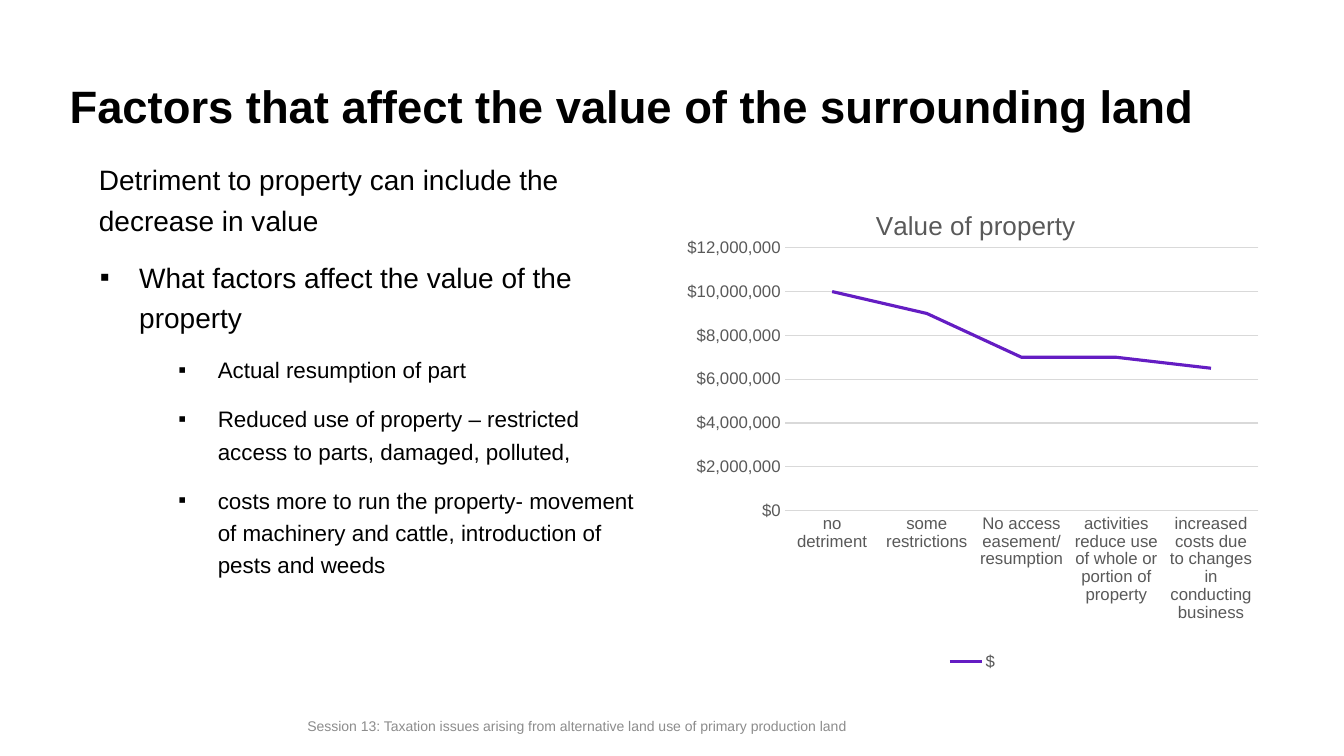
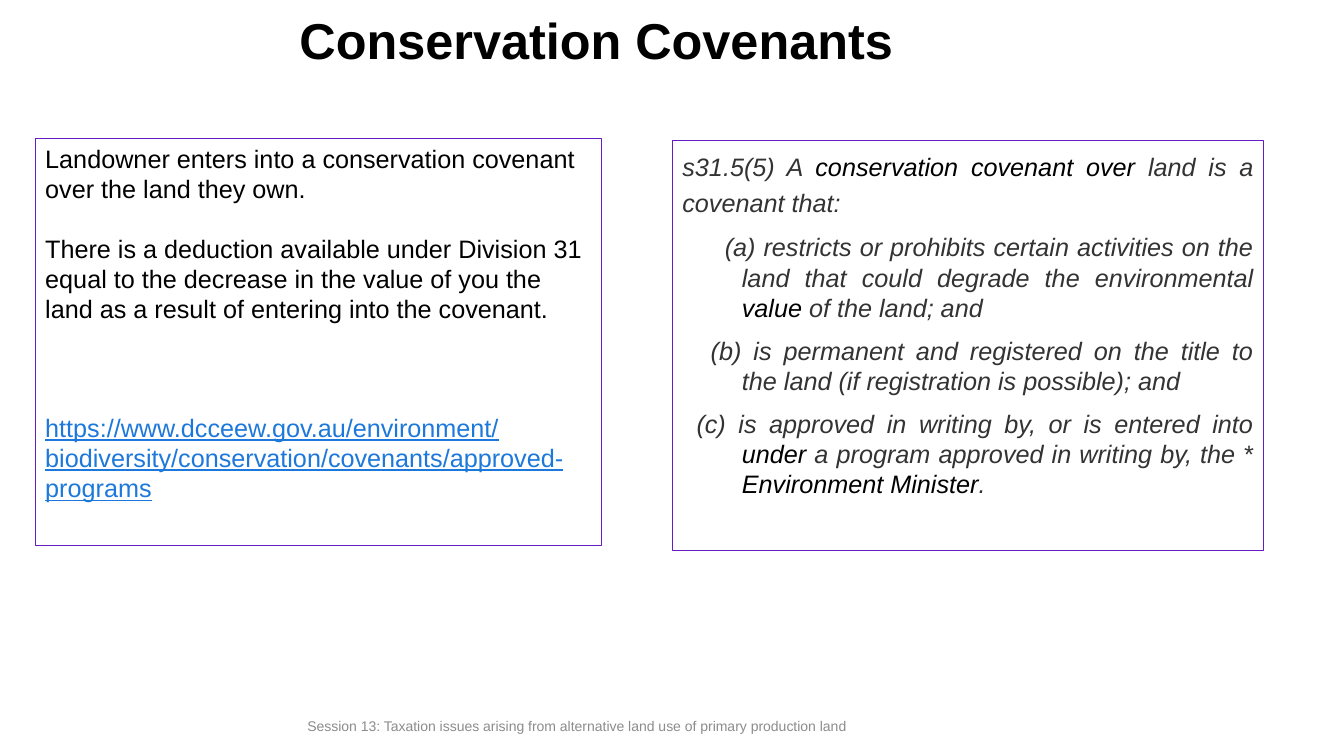
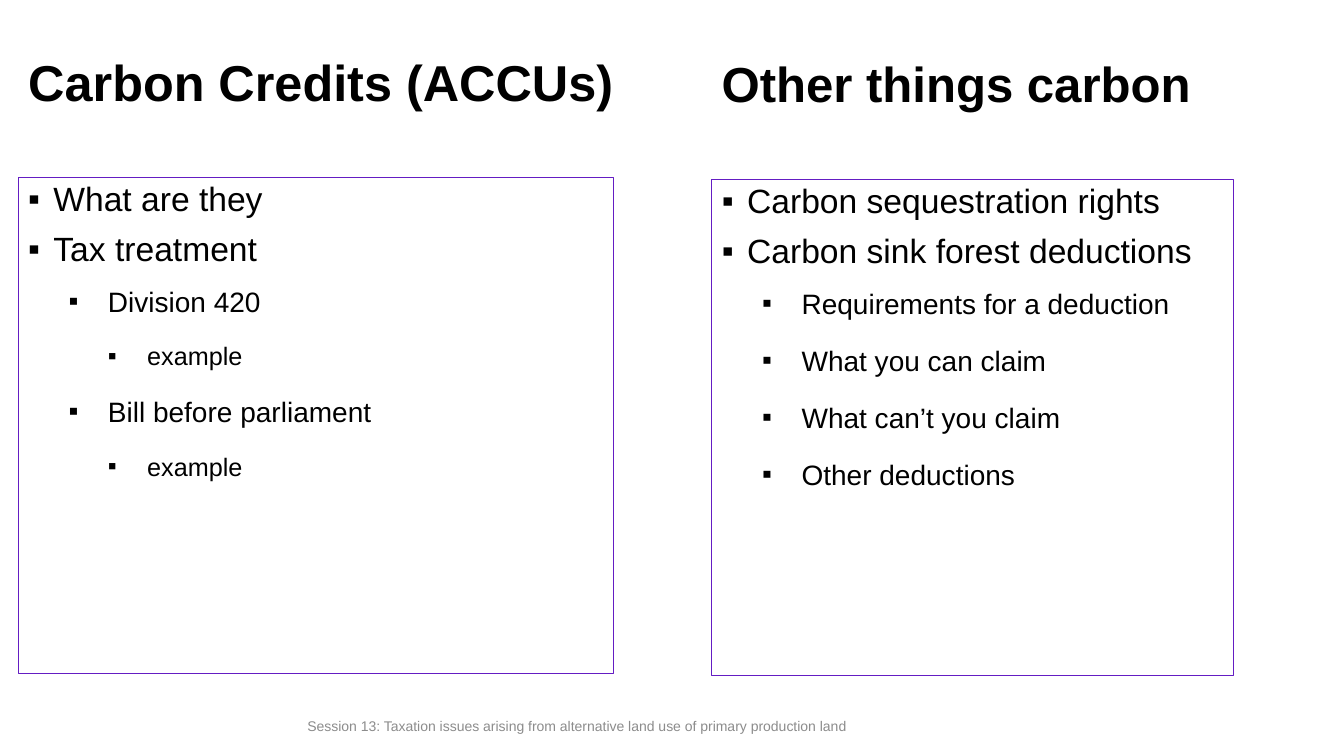
from lxml.etree import SubElement
from pptx import Presentation
from pptx.chart.data import CategoryChartData
from pptx.dml.color import RGBColor
from pptx.enum.chart import XL_CHART_TYPE, XL_LEGEND_POSITION, XL_TICK_MARK
from pptx.enum.text import MSO_ANCHOR, MSO_AUTO_SIZE, PP_ALIGN
from pptx.oxml import parse_xml
from pptx.oxml.ns import nsdecls, qn
from pptx.util import Inches, Pt

FONT = "Arial"
BLACK = RGBColor(0x00, 0x00, 0x00)
STATUTE_GREY = RGBColor(0x33, 0x33, 0x33)
CHART_GREY = RGBColor(0x59, 0x59, 0x59)
FOOTER_GREY = RGBColor(0x8C, 0x8C, 0x8C)
GRID_GREY = RGBColor(0xD9, 0xD9, 0xD9)
PURPLE = RGBColor(0x64, 0x1D, 0xC3)
LINK_BLUE = RGBColor(0x1D, 0x78, 0xDB)

TITLE_AND_CONTENT, TWO_CONTENT, TITLE_ONLY = 1, 3, 5
FOOTER = "Session 13: Taxation issues arising from alternative land use of primary production land"

LOOSE = {"spacing": 1.2, "before": 6, "after": 6}
TOPIC = {"size": 24, "margin": 0.25, "indent": -0.25, "bullet": "▪", "spacing": 0.9, "before": 10}
POINT = {"size": 20, "level": 1, "margin": 0.79, "indent": -0.39, "bullet": "▪", **LOOSE}
EXAMPLE = {**POINT, "size": 18, "level": 2, "margin": 1.18}
DETAIL = {**POINT, "size": 16, "level": 3, "margin": 1.57}
LEAD = {**POINT, "margin": 0.39, "indent": 0, "bullet": None}


def write(frame, text, *, size, color=BLACK, bold=False, italic=False, underline=False,
          align=PP_ALIGN.LEFT, level=0, margin=0, indent=0, bullet=None,
          spacing=1.0, before=0, after=0):
    """Append a paragraph; text is a string or a list of (string, colour) pairs."""
    first = len(frame.paragraphs) == 1 and not frame.paragraphs[0].runs
    paragraph = frame.paragraphs[0] if first else frame.add_paragraph()
    paragraph.alignment = align
    paragraph.level = level
    paragraph.line_spacing = spacing
    paragraph.space_before = Pt(0 if first else before)
    paragraph.space_after = Pt(after)
    properties = paragraph._p.get_or_add_pPr()
    properties.set("marL", str(Inches(margin)))
    properties.set("indent", str(Inches(indent)))
    if bullet:
        SubElement(properties, qn("a:buFont")).set("typeface", FONT)
        SubElement(properties, qn("a:buChar")).set("char", bullet)
    else:
        SubElement(properties, qn("a:buNone"))
    for words, tint in [(text, color)] if isinstance(text, str) else text:
        run = paragraph.add_run()
        run.text = words
        run.font.name = FONT
        run.font.size = Pt(size)
        run.font.bold = bold
        run.font.italic = italic
        run.font.underline = underline
        run.font.color.rgb = tint


def place(part, box, anchor=MSO_ANCHOR.TOP, outlined=False):
    """Move a part to its box and return its prepared text frame."""
    part.left, part.top, part.width, part.height = map(Inches, box)
    frame = part.text_frame
    frame.word_wrap = True
    frame.auto_size = MSO_AUTO_SIZE.NONE
    frame.vertical_anchor = anchor
    if outlined:
        part.line.color.rgb = PURPLE
        part.line.width = Pt(0.75)
    return frame


def new_text(slide, box, **kwargs):
    """Add a text box and return its text frame."""
    return place(slide.shapes.add_textbox(*map(Inches, box)), box, **kwargs)


def write_title(frame, text, size=36):
    """Write a heading in the shared title style."""
    write(frame, text, size=size, bold=True, spacing=0.9)


def start_slide(deck, layout, title, box, size=36):
    """Add a slide with its title and the session footer."""
    slide = deck.slides.add_slide(deck.slide_layouts[layout])
    write_title(place(slide.shapes.title, box, MSO_ANCHOR.BOTTOM), title, size)
    footer = new_text(slide, (2.95, 7.08, 7.87, 0.24), anchor=MSO_ANCHOR.MIDDLE)
    write(footer, FOOTER, size=10, color=FOOTER_GREY)
    return slide


def fill_list(placeholder, box, entries, outlined=False):
    """Fill a body placeholder with (style, text) entries."""
    frame = place(placeholder, box, outlined=outlined)
    for style, text in entries:
        write(frame, text, **style)


def set_layout(parent, index, **fractions):
    """Give a chart part a fixed position in fractions of the chart."""
    for existing in parent.findall(qn("c:layout")):
        parent.remove(existing)
    target = '<c:layoutTarget val="inner"/>' if "w" in fractions else ""
    modes = "".join(f'<c:{key}Mode val="edge"/>' for key in "xy")
    values = "".join(f'<c:{key} val="{value}"/>' for key, value in fractions.items())
    parent.insert(index, parse_xml(
        f'<c:layout {nsdecls("c")}><c:manualLayout>{target}{modes}{values}'
        "</c:manualLayout></c:layout>"))


def style_font(font, size):
    """Apply the chart text style."""
    font.name = FONT
    font.size = Pt(size)
    font.bold = False
    font.color.rgb = CHART_GREY


def add_value_chart(slide, box):
    """Draw the line chart of falling property value."""
    data = CategoryChartData(number_format='"$"#,##0')
    data.categories = [
        "no detriment", "some restrictions", "No access easement/resumption",
        "activities reduce use of whole or portion of property",
        "increased costs due to changes in conducting business",
    ]
    data.add_series("$", [10000000, 9000000, 7000000, 7000000, 6500000])
    chart = slide.shapes.add_chart(XL_CHART_TYPE.LINE, *map(Inches, box), data).chart
    style_font(chart.font, 12)

    chart.has_title = True
    title = chart.chart_title
    title.text_frame.text = "Value of property"
    style_font(title.text_frame.paragraphs[0].runs[0].font, 18.6)
    set_layout(title._element, 1, x=0.33, y=0.05)
    set_layout(chart._chartSpace.chart.plotArea, 0, x=0.185, y=0.14, w=0.795, h=0.53)

    chart.has_legend = True
    chart.legend.position = XL_LEGEND_POSITION.BOTTOM
    chart.legend.include_in_layout = False
    style_font(chart.legend.font, 12)

    values, categories = chart.value_axis, chart.category_axis
    for axis in (values, categories):
        axis.major_tick_mark = axis.minor_tick_mark = XL_TICK_MARK.NONE
        style_font(axis.tick_labels.font, 12)
    values.minimum_scale, values.maximum_scale, values.major_unit = 0, 12000000, 2000000
    values.tick_labels.number_format = '"$"#,##0'
    values.tick_labels.number_format_is_linked = False
    values.format.line.fill.background()
    for line in (values.major_gridlines.format.line, categories.format.line):
        line.color.rgb = GRID_GREY
        line.width = Pt(0.75)

    chart.plots[0].vary_by_categories = False
    series = chart.plots[0].series[0]
    series.smooth = False
    series.format.line.color.rgb = PURPLE
    series.format.line.width = Pt(2.25)


def build_factors(deck):
    """Build the slide on factors that affect land value."""
    slide = start_slide(deck, TITLE_AND_CONTENT,
                        "Factors that affect the value of the surrounding land",
                        (0.59, 0.39, 12.01, 0.98), 32.4)
    fill_list(slide.placeholders[1], (0.49, 1.5, 5.91, 4.92), [
        (LEAD, "Detriment to property can include the decrease in value"),
        (POINT, "What factors affect the value of the property"),
        (DETAIL, "Actual resumption of part"),
        (DETAIL, "Reduced use of property – restricted access to parts, damaged, polluted,"),
        (DETAIL, "costs more to run the property- movement of machinery and cattle, "
                 "introduction of pests and weeds"),
    ])
    add_value_chart(slide, (6.69, 1.77, 5.91, 4.92))


def add_covenant_summary(slide, box):
    """Write the plain summary of the deduction."""
    frame = new_text(slide, box, outlined=True)
    write(frame, "Landowner enters into a conservation covenant over the land they own.", size=18)
    write(frame, "There is a deduction available under Division 31 equal to the decrease in the "
                 "value of you the land as a result of entering into the covenant.",
          size=18, before=21)
    write(frame, "https://www.dcceew.gov.au/environment/biodiversity/conservation/covenants/"
                 "approved-programs", size=18, color=LINK_BLUE, underline=True, before=63)


def add_statute(slide, box):
    """Write the quoted section, with its defined terms in black."""
    frame = new_text(slide, box, outlined=True)
    quote = {"size": 18, "italic": True, "align": PP_ALIGN.JUSTIFY}
    write(frame, [("s31.5(5) A ", STATUTE_GREY), ("conservation covenant over", BLACK),
                  (" land is a covenant that:", STATUTE_GREY)],
          spacing=1.2, after=10, **quote)
    clauses = [
        (-0.17, [("(a) restricts or prohibits certain activities on the land that could "
                  "degrade the environmental ", STATUTE_GREY),
                 ("value", BLACK), (" of the land; and", STATUTE_GREY)]),
        (-0.31, [("(b) is permanent and registered on the title to the land "
                  "(if registration is possible); and", STATUTE_GREY)]),
        (-0.45, [("(c) is approved in writing by, or is entered into ", STATUTE_GREY),
                 ("under", BLACK),
                 (" a program approved in writing by, the * ", STATUTE_GREY),
                 ("Environment Minister", BLACK), (".", STATUTE_GREY)]),
    ]
    for indent, clause in clauses:
        write(frame, clause, margin=0.59, indent=indent, after=9, **quote)


def build_covenants(deck):
    """Build the slide on conservation covenants."""
    slide = start_slide(deck, TITLE_ONLY, "Conservation Covenants", (2.87, 0.19, 6.21, 0.56))
    add_covenant_summary(slide, (0.35, 1.37, 5.62, 4.04))
    add_statute(slide, (6.67, 1.39, 5.86, 4.07))


def build_carbon(deck):
    """Build the slide on carbon credits and related deductions."""
    slide = start_slide(deck, TWO_CONTENT, "Carbon Credits (ACCUs)", (0.18, 0.19, 6.08, 0.98))
    write_title(new_text(slide, (7.06, 0.4, 6.08, 0.77), anchor=MSO_ANCHOR.BOTTOM),
                "Other things carbon", 35.1)
    fill_list(slide.placeholders[1], (0.18, 1.76, 5.91, 4.92), [
        (TOPIC, "What are they"),
        (TOPIC, "Tax treatment"),
        (POINT, "Division 420"),
        (EXAMPLE, "example"),
        (POINT, "Bill before parliament"),
        (EXAMPLE, "example"),
    ], outlined=True)
    fill_list(slide.placeholders[2], (7.06, 1.78, 5.17, 4.92), [
        (TOPIC, "Carbon sequestration rights"),
        (TOPIC, "Carbon sink forest deductions"),
        (POINT, "Requirements for a deduction"),
        (POINT, "What you can claim"),
        (POINT, "What can’t you claim"),
        (POINT, "Other deductions"),
    ], outlined=True)


def main():
    """Build and save the presentation."""
    deck = Presentation()
    deck.slide_width, deck.slide_height = Inches(13.33), Inches(7.5)
    for build in (build_factors, build_covenants, build_carbon):
        build(deck)
    deck.save("out.pptx")


if __name__ == "__main__":
    main()
